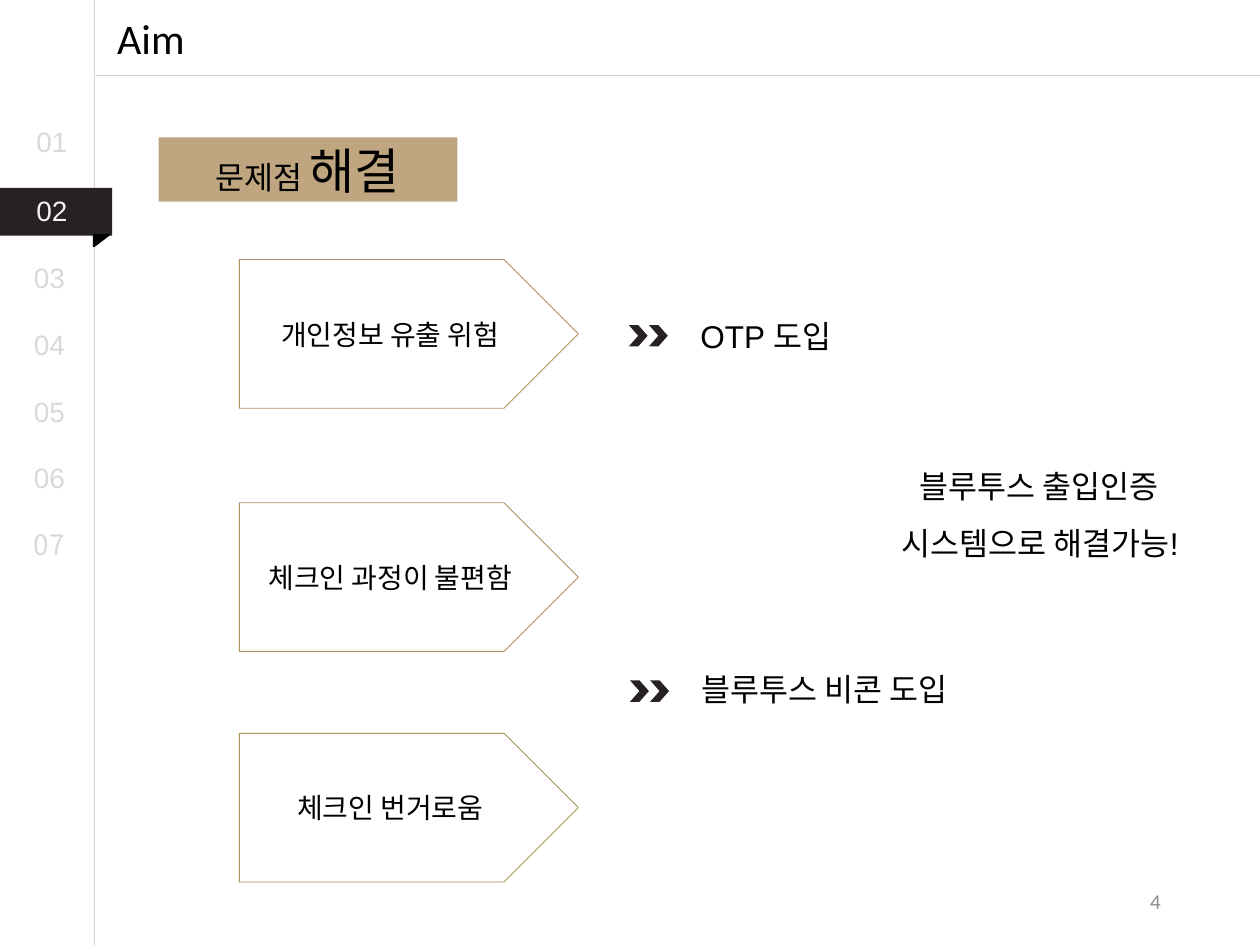
"""Build the Aim slide: three check-in problems and how they are solved."""
import pptx
import pptx.dml.color
import pptx.enum.shapes
import pptx.enum.text
import pptx.oxml
import pptx.oxml.ns
import pptx.util

Inches = pptx.util.Inches
Pt = pptx.util.Pt
SHAPES = pptx.enum.shapes.MSO_SHAPE
ANCHOR = pptx.enum.text.MSO_ANCHOR
ALIGN = pptx.enum.text.PP_ALIGN
COLORS = {"dark": "272123", "black": "000000", "gold": "AF9061", "rule": "A6A6A6",
          "muted": "D9D9D9", "active": "F2F2F2", "page": "8C8C8C"}


def add_run(paragraph, text, size, font="Arial", color="black"):
    run = paragraph.add_run()
    run.text = text
    run.font.size = Pt(size)
    run.font.name = font
    run.font.color.rgb = pptx.dml.color.RGBColor.from_string(COLORS[color])


def add_box(kind, left, top, width, height, fill=None, line=None, line_width=0.5):
    frame = [Inches(value) for value in (left, top, width, height)]
    if kind is None:
        shape = slide.shapes.add_textbox(*frame)
    else:
        shape = slide.shapes.add_shape(kind, *frame)
        shape.shadow.inherit = False
        shape.fill.background()
        shape.line.fill.background()
    if fill:
        shape.fill.solid()
        shape.fill.fore_color.rgb = pptx.dml.color.RGBColor.from_string(COLORS[fill])
    if line:
        shape.line.color.rgb = pptx.dml.color.RGBColor.from_string(COLORS[line])
        shape.line.width = Pt(line_width)
    shape.text_frame.word_wrap = True
    return shape


presentation = pptx.Presentation()
presentation.slide_width = Inches(10)
presentation.slide_height = Inches(7.5)
slide = presentation.slides.add_slide(presentation.slide_layouts[5])

title = slide.shapes.title
title.left, title.top = Inches(0.83), Inches(0.05)
title.width, title.height = Inches(4.43), Inches(0.49)
title.text_frame.vertical_anchor = ANCHOR.TOP
title.text_frame.paragraphs[0].alignment = ALIGN.LEFT
add_run(title.text_frame.paragraphs[0], "Aim", 24, "Calibri")

for start_x, start_y, end_x, end_y in [(0.75, 0, 0.75, 7.5), (0.76, 0.6, 10, 0.6)]:
    rule = slide.shapes.add_connector(
        pptx.enum.shapes.MSO_CONNECTOR.STRAIGHT,
        Inches(start_x), Inches(start_y), Inches(end_x), Inches(end_y))
    rule.line.width = Pt(0.5)
    rule.line.color.rgb = pptx.dml.color.RGBColor.from_string(COLORS["rule"])
    rule_color = rule.line.fill._xPr.find(".//" + pptx.oxml.ns.qn("a:srgbClr"))
    pptx.oxml.ns.qn("a:alpha")
    rule_color.append(pptx.oxml.parse_xml(
        '<a:alpha %s val="50000"/>' % pptx.oxml.ns.nsdecls("a")))
    rule._element.spPr.append(pptx.oxml.parse_xml(
        "<a:effectLst %s/>" % pptx.oxml.ns.nsdecls("a")))

add_box(SHAPES.RECTANGLE, -0.02, 1.49, 0.91, 0.38, fill="dark")
fold = add_box(SHAPES.RIGHT_TRIANGLE, 0.76, 1.85, 0.09, 0.12, "black", "black", 1)
fold.rotation = 90

banner = add_box(SHAPES.RECTANGLE, 1.26, 1.09, 2.37, 0.51, fill="gold")
banner_color = banner._element.spPr.find(".//" + pptx.oxml.ns.qn("a:srgbClr"))
banner_color.append(pptx.oxml.parse_xml(
    '<a:alpha %s val="80000"/>' % pptx.oxml.ns.nsdecls("a")))
banner.text_frame.vertical_anchor = ANCHOR.MIDDLE
paragraph = banner.text_frame.paragraphs[0]
paragraph.alignment = ALIGN.CENTER
add_run(paragraph, "문제점 ", 18, "Noto Sans CJK KR")
add_run(paragraph, "해결", 28, "Noto Sans CJK KR")

problems = [(2.06, "개인정보 유출 위험"), (3.99, "체크인 과정이 불편함"), (5.82, "체크인 번거로움")]
for top, text in problems:
    problem = add_box(SHAPES.PENTAGON, 1.9, top, 2.69, 1.18, line="gold")
    problem.text_frame.vertical_anchor = ANCHOR.MIDDLE
    problem.text_frame.paragraphs[0].alignment = ALIGN.CENTER
    add_run(problem.text_frame.paragraphs[0], text, 16)

solutions = [(4.99, 2.58, 2.47, 1.78, "OTP 도입"), (5, 5.4, 5.27, 2.63, "블루투스 비콘 도입")]
for left, chevron_top, text_top, width, text in solutions:
    for offset in (0.16, 0):
        add_box(SHAPES.CHEVRON, left + offset, chevron_top, 0.15, 0.17, fill="dark")
    solution = add_box(None, left + 0.47, text_top, width, 0.4)
    add_run(solution.text_frame.paragraphs[0], text, 18)

conclusion = add_box(None, 7.06, 3.51, 2.84, 0.96).text_frame
first_line, second_line = conclusion.paragraphs[0], conclusion.add_paragraph()
first_line._p.get_or_add_pPr().set("marL", str(Inches(0.14)))
for paragraph, text in [(first_line, "블루투스 출입인증"), (second_line, "시스템으로 해결가능!")]:
    paragraph.line_spacing = 1.5
    add_run(paragraph, text, 18)

page_number = add_box(None, 7.06, 6.95, 2.25, 0.4)
page_number.text_frame.vertical_anchor = ANCHOR.MIDDLE
page_number.text_frame.paragraphs[0].alignment = ALIGN.RIGHT
add_run(page_number.text_frame.paragraphs[0], "4", 12, "Calibri", "page")

section_tops = [0.94, 1.49] + [2.02 + 0.53 * step for step in range(5)]
for number, top in enumerate(section_tops, start=1):
    section = add_box(None, 0.19 if number <= 2 else 0.17, top, 0.49, 0.37)
    add_run(section.text_frame.paragraphs[0], f"{number:02d}", 16,
            "Noto Sans CJK KR" if number == 7 else "Arial",
            "active" if number == 2 else "muted")

presentation.save("out.pptx")
